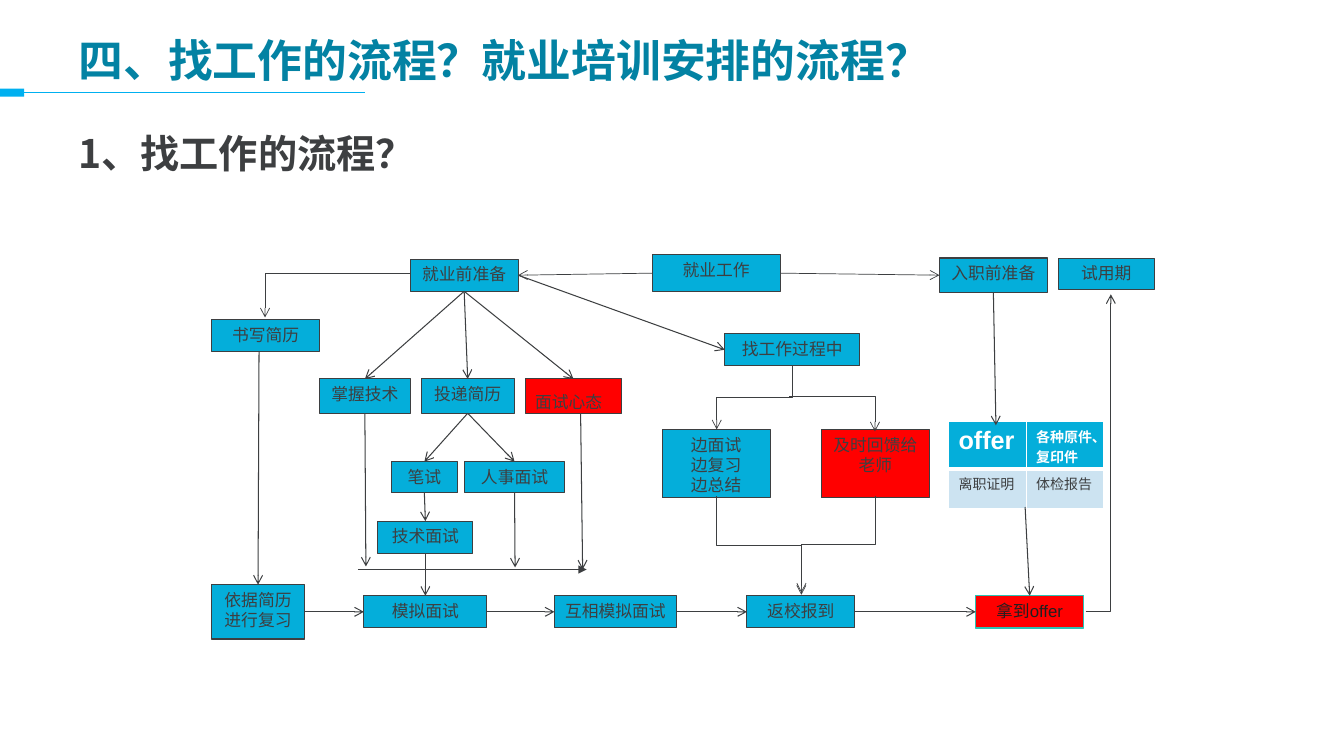
from lxml import etree
from pptx import Presentation
from pptx import util as u
from pptx.dml.color import RGBColor
from pptx.enum import shapes, text
from pptx.oxml.ns import qn

CJK = "Noto Sans CJK SC"
INK, CYAN, RED, WHITE, PALE = "3D3F41", "04AEDA", "FF0000", "FFFFFF", "CCE3F1"
TOP, LEFT, BOTTOM, RIGHT = range(4)


def color(hex_code):
    return RGBColor.from_string(hex_code)


def fill(area, hex_code):
    area.fill.solid()
    area.fill.fore_color.rgb = color(hex_code)


def write(frame, words, size=12, ink=INK, bold=False, font="Arial",
          align=None, anchor=text.MSO_ANCHOR.TOP, spacing=None, gap=0):
    frame.word_wrap = True
    frame.vertical_anchor = anchor
    frame.text = words
    for paragraph in frame.paragraphs:
        paragraph.alignment = align
        paragraph.line_spacing = spacing
        paragraph.space_before = paragraph.space_after = u.Pt(gap)
        for run in paragraph.runs:
            run.font.size = u.Pt(size)
            run.font.bold = bold
            run.font.name = font
            run.font.color.rgb = color(ink)
            east_asian = etree.SubElement(run.font._element, qn("a:ea"))
            east_asian.set("typeface", CJK)


class FlowSlide:
    cell = u.Inches(0.1)
    columns, rows = 133.33, 75

    def __init__(self, deck):
        deck.slide_width, deck.slide_height = self.grid(self.columns, self.rows)
        self.canvas = deck.slides.add_slide(deck.slide_layouts[6]).shapes
        self.steps = {}

    def grid(self, *lengths):
        return [u.Emu(round(length * self.cell)) for length in lengths]

    def label(self, box, words, **style):
        write(self.canvas.add_textbox(*self.grid(*box)).text_frame, words, **style)

    def bar(self, box, hex_code, edge=None, width=0.75):
        block = self.canvas.add_shape(shapes.MSO_SHAPE.RECTANGLE, *self.grid(*box))
        block.shadow.inherit = False
        fill(block, hex_code)
        if edge:
            block.line.color.rgb = color(edge)
            block.line.width = u.Pt(width)
        else:
            block.line.fill.background()
        return block

    def step(self, words, *box, back=CYAN, edge=INK, width=0.75, **style):
        block = self.bar(box, back, edge, width)
        write(block.text_frame, words, **{"align": text.PP_ALIGN.CENTER, **style})
        self.steps[words] = block

    def line(self, start, end, kind=shapes.MSO_CONNECTOR.STRAIGHT,
             ink=INK, width=0.75, head="arrow"):
        link = self.canvas.add_connector(kind, *self.grid(*start, *end))
        link.line.color.rgb = color(ink)
        link.line.width = u.Pt(width)
        if head:
            etree.SubElement(link.line._get_or_add_ln(), qn("a:tailEnd")).set("type", head)
        etree.SubElement(link._element.spPr, qn("a:effectLst"))
        return link

    def arrow(self, start, end, **style):
        joined = [isinstance(spot[0], str) for spot in (start, end)]
        points = [(0, 0) if join else spot for join, spot in zip(joined, (start, end))]
        link = self.line(*points, **style)
        if joined[0]:
            link.begin_connect(self.steps[start[0]], start[1])
        if joined[1]:
            link.end_connect(self.steps[end[0]], end[1])

    def corner(self, start, end, **style):
        link = self.line(start, end, shapes.MSO_CONNECTOR.ELBOW, **style)
        link._element.spPr.find(qn("a:prstGeom")).set("prst", "bentConnector2")

    def drop(self, start, end, **style):
        (x1, y1), (x2, y2) = start, end
        x, y, dx, dy = (x1 + x2) / 2, (y1 + y2) / 2, (x2 - x1) / 2, (y2 - y1) / 2
        link = self.line((x - dy, y + dx), (x + dy, y - dx),
                         shapes.MSO_CONNECTOR.ELBOW, **style)
        link._element.spPr.find(qn("a:xfrm")).set("rot", str(90 * 60000))

    def table(self, box, heights, content):
        grid = self.canvas.add_table(len(content), len(content[0]), *self.grid(*box)).table
        for row, height in zip(grid.rows, self.grid(*heights)):
            row.height = height
        for r, line in enumerate(content):
            for c, (words, style) in enumerate(line):
                cell = grid.cell(r, c)
                write(cell.text_frame, words, **style)
                properties = cell._tc.get_or_add_tcPr()
                for side in ("lnL", "lnR", "lnT", "lnB"):
                    heavy = (r, side) in ((0, "lnB"), (1, "lnT"))
                    border = etree.SubElement(properties, qn("a:" + side))
                    border.set("w", str(u.Pt(3 if heavy else 1)))
                    paint = etree.SubElement(border, qn("a:solidFill"))
                    etree.SubElement(paint, qn("a:srgbClr")).set("val", WHITE)
                fill(cell, PALE if r else CYAN)


def main():
    deck = Presentation()
    flow = FlowSlide(deck)
    flow.line((36.2, 9.2), (2.3, 9.2), ink="00B0F0", head=None)
    flow.bar((0, 8.8, 2.4, 0.8), "00B0F0")
    flow.label((6.8, 2.8, 120, 6.3), "四、找工作的流程？就业培训安排的流程？", size=32,
               ink="0382A3", bold=True, anchor=text.MSO_ANCHOR.MIDDLE)
    flow.label((6.8, 12.3, 120, 53.5), "1、找工作的流程？", size=28, bold=True,
               font=CJK, gap=3)

    for step in (
        ("书写简历", 21, 31.7, 10.7, 3.2),
        ("就业前准备", 40.7, 25.7, 10.7, 3.2),
        ("返校报到", 74.1, 59.1, 10.7, 3.2),
        ("边面试\n边复习\n边总结", 65.7, 42.6, 10.7, 6.8),
        ("找工作过程中", 71.9, 33.1, 13.4, 3.2),
        ("就业工作", 64.7, 25.3, 12.7, 3.6),
        ("互相模拟面试", 55, 59.1, 12.1, 3.2),
        ("模拟面试", 36.1, 59.1, 12.2, 3.2),
        ("依据简历进行复习", 21, 58, 9.2, 5.4),
        ("投递简历", 41.8, 37.6, 9.2, 3.4),
        ("掌握技术", 31.7, 37.6, 9, 3.4),
        ("人事面试", 46.1, 45.8, 9.9, 3.1),
        ("技术面试", 37.5, 51.7, 9.4, 3.2),
        ("笔试", 38.8, 45.8, 6.6, 3.1),
        ("试用期", 105, 25.6, 9.5, 3.1),
        ("入职前准备", 93.2, 25.6, 10.7, 3.4),
    ):
        flow.step(*step)
    flow.step("及时回馈给老师", 81.5, 42.6, 10.7, 6.8, back=RED)
    flow.step("拿到offer", 96.8, 59.1, 10.7, 3.2, back=RED, edge="2BC3B5",
              width=1, ink="1F2020")
    flow.step("面试心态", 52.1, 37.6, 9.6, 3.4, back=RED,
              align=text.PP_ALIGN.LEFT, spacing=1.4)

    heading = dict(size=10, ink=WHITE, bold=True)
    flow.table((94.1, 41.8, 15.4, 8.7), (4.7, 4), (
        (("offer", {**heading, "size": 18}), ("各种原件、复印件", heading)),
        (("离职证明", dict(size=10)), ("体检报告", dict(size=10))),
    ))

    flow.arrow(("就业前准备", RIGHT), ("找工作过程中", LEFT))
    for source, targets in (
        ("就业前准备", ("投递简历", "掌握技术", "面试心态")),
        ("投递简历", ("笔试", "人事面试")),
        ("笔试", ("技术面试",)),
        ("技术面试", ("模拟面试",)),
    ):
        for target in targets:
            flow.arrow((source, BOTTOM), (target, TOP))
    route = ("依据简历进行复习", "模拟面试", "互相模拟面试", "返校报到", "拿到offer")
    for source, target in zip(route, route[1:]):
        flow.arrow((source, RIGHT), (target, LEFT))
    for start, end in (
        ((25.7, 34.9), ("依据简历进行复习", TOP)),
        (("掌握技术", BOTTOM), (36.3, 56.2)),
        (("人事面试", BOTTOM), (51.1, 56.3)),
        ((57.6, 41), (57.8, 56.5)),
        (("入职前准备", BOTTOM), (98.8, 42.2)),
        ((101.7, 50.3), ("拿到offer", TOP)),
    ):
        flow.arrow(start, end)
    flow.arrow((35.5, 56.5), (58.2, 56.5), head="triangle")
    flow.arrow(("就业工作", LEFT), ("就业前准备", RIGHT), width=0.5)
    flow.arrow(("就业工作", RIGHT), ("入职前准备", LEFT), width=0.5)

    flow.corner((107.7, 60.7), (110.2, 29.2))
    flow.corner((40.7, 27.1), (26.3, 31.5), width=0.5)
    flow.corner((78.3, 39.3), (86.8, 42.8), width=0.5)
    flow.drop((78.6, 36.3), (71.1, 42.6), width=0.5)
    flow.drop((71.1, 49.2), (79.5, 59), width=0.5)
    flow.drop((86.8, 49.2), (79.5, 58.8), width=0.5)
    deck.save("out.pptx")


if __name__ == "__main__":
    main()
